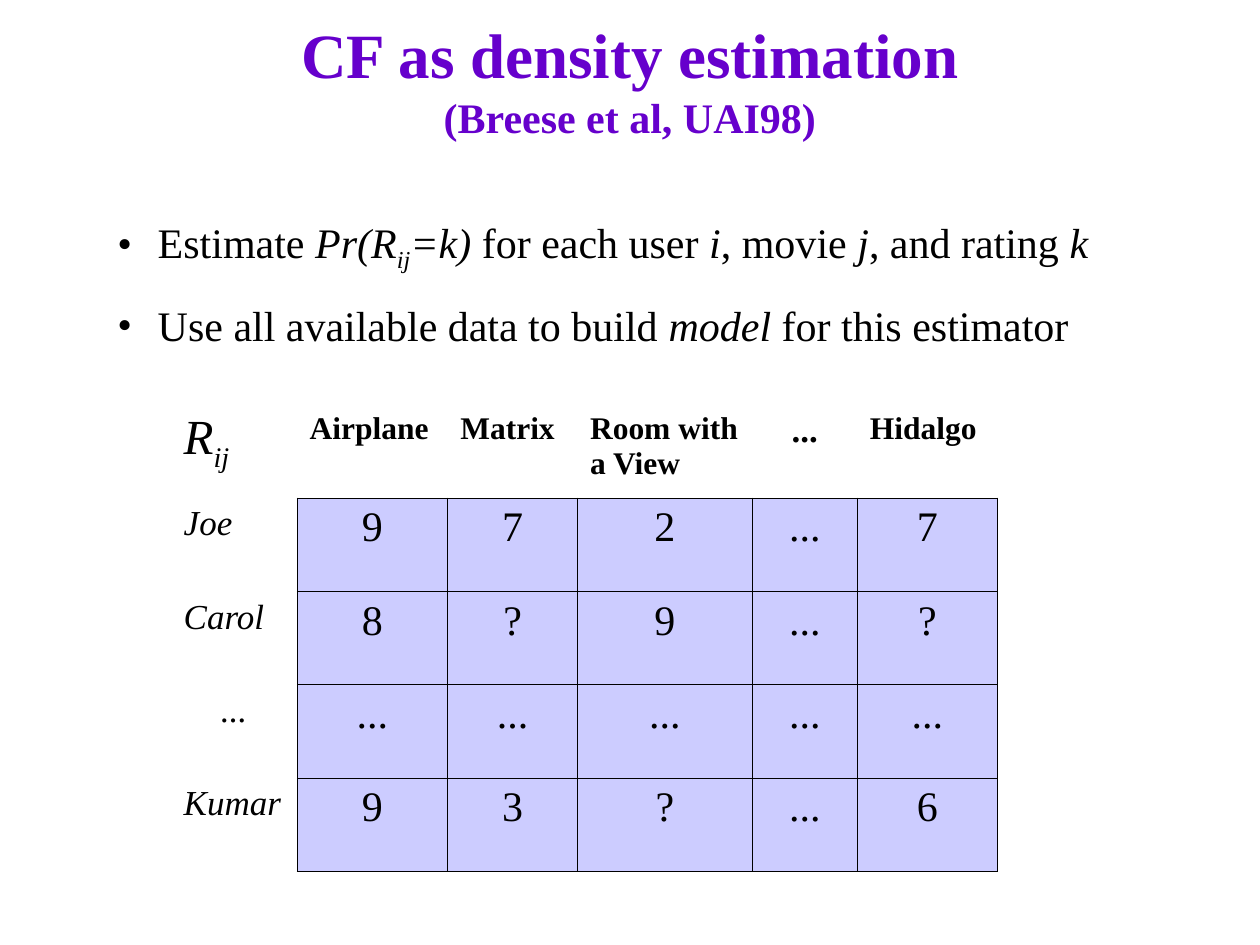
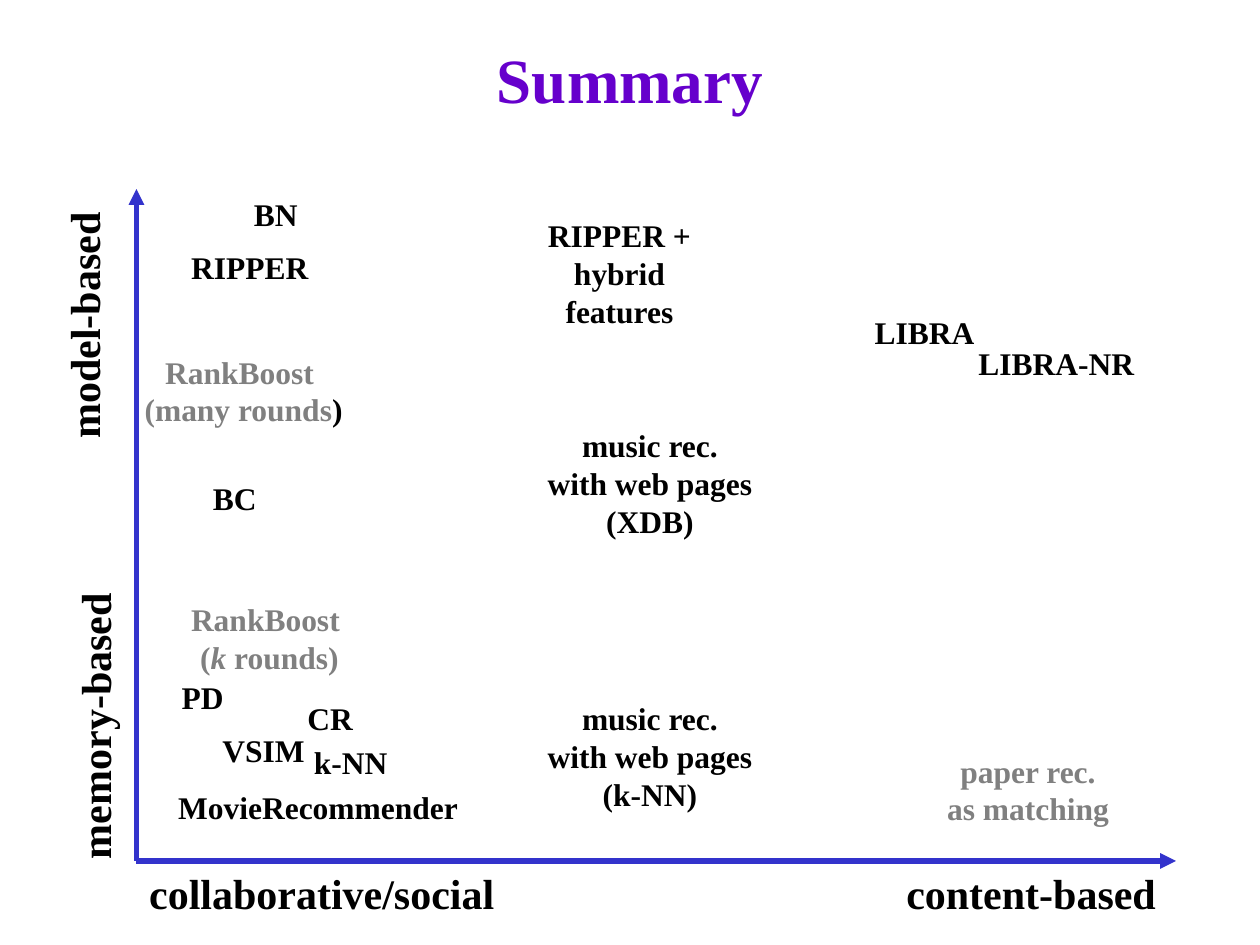
from collections import namedtuple
from dataclasses import dataclass

from lxml.etree import SubElement as sub
from pptx import Presentation
from pptx.dml.color import RGBColor as Rgb
from pptx.enum.shapes import MSO_CONNECTOR as Conn
from pptx.enum.text import MSO_ANCHOR as Anchor, MSO_AUTO_SIZE as Fit, PP_ALIGN as Al
from pptx.oxml.ns import qn
from pptx.util import Inches, Pt


@dataclass(frozen=True)
class Theme:
    font: str = "Times New Roman"
    title: str = "6600CC"
    ink: str = "000000"
    grey: str = "808080"
    axis: str = "3333CC"
    cell: str = "CCCCFF"
    head: int = 36
    big: int = 28
    body: int = 24
    label: int = 20
    small: int = 18
    thin: float = 0.45


T = Theme()
# The slide is a grid of 120 columns by 90 rows
COLS, ROWS = 120, 90
WIDE, HIGH = Inches(10), Inches(7.5)
SLACK = 0.3  # columns added on each side of a label so that it stays on its lines
Box = namedtuple("Box", "x y w h")


def col(n):
    return round(WIDE * n / COLS)


def row(n):
    return round(HIGH * n / ROWS)


def place(box):
    return col(box.x), row(box.y), col(box.w), row(box.h)


def inside(box, x, y, w, h):
    """Box at an offset from the corner of another box."""
    return Box(box.x + x, box.y + y, w, h)


# Text: a line is a list of (words, marks); marks are b, i and s (subscript)
def add_run(para, words, marks, size, color):
    run = para.add_run()
    run.text = words
    font = run.font
    font.name, font.size = T.font, Pt(size)
    font.bold, font.italic = "b" in marks, "i" in marks
    font.color.rgb = Rgb.from_string(color)
    if "s" in marks:
        run._r.get_or_add_rPr().set("baseline", "-25000")


def add_text(slide, box, lines, size, color=T.ink, align=Al.CENTER, wrap=False, turn=0):
    if not wrap:
        box = inside(box, -SLACK, 0, box.w + 2 * SLACK, box.h)
    shape = slide.shapes.add_textbox(*place(box))
    shape.rotation = turn
    frame = shape.text_frame
    frame.word_wrap, frame.auto_size = wrap, Fit.SHAPE_TO_FIT_TEXT
    for n, line in enumerate(lines):
        para = frame.add_paragraph() if n else frame.paragraphs[0]
        para.alignment = align
        for words, marks, *tint in line:
            add_run(para, words, marks, size, tint[0] if tint else color)
    return frame


# Title shared by both slides
def add_title(slide, main, note=None):
    frame = add_text(slide, Box(9, 0, 102, 15), [[(main, "b")]], T.head, T.title, wrap=True)
    frame.auto_size, frame.vertical_anchor = Fit.NONE, Anchor.MIDDLE
    if note:
        para = frame.paragraphs[0]
        para.add_line_break()
        add_run(para, note, "b", T.body, T.title)


# Bullet list
POINTS = [
    [("Estimate ", ""), ("Pr(R", "i"), ("ij", "is"), ("=k) ", "i"),
     ("for each user ", ""), ("i", "i"), (", movie ", ""), ("j", "i"),
     (", and rating ", ""), ("k", "i")],
    [("Use all available data to build ", ""), ("model", "i"),
     (" for this estimator", "")],
]


def add_points(slide, box):
    frame = add_text(slide, box, POINTS, T.body, align=Al.LEFT, wrap=True)
    for n, para in enumerate(frame.paragraphs):
        props = para._p.get_or_add_pPr()
        props.set("marL", str(Inches(0.32)))
        props.set("indent", str(-Inches(0.32)))
        sub(props, qn("a:buFont"), typeface=T.font)
        sub(props, qn("a:buChar"), char="•")
        if n:
            para.space_before = Pt(15)


# Ratings table
MOVIES = ["Airplane", "Matrix", "Room with a View", "...", "Hidalgo"]
RATES = {
    "Joe": ["9", "7", "2", "...", "7"],
    "Carol": ["8", "?", "9", "...", "?"],
    "...": ["..."] * 5,
    "Kumar": ["9", "3", "?", "...", "6"],
}
SPANS = [12, 14.35, 12.35, 16.65, 10, 13.35]


def add_borders(cell, sides):
    """Draw the named sides (of L, R, T, B) and hide the others."""
    props = cell._tc.get_or_add_tcPr()
    for side in "LRTB":
        line = sub(props, qn(f"a:ln{side}"), w=str(Pt(T.thin)))
        if side in sides:
            fill = sub(line, qn("a:solidFill"))
            sub(fill, qn("a:srgbClr"), val=T.ink)
        else:
            sub(line, qn("a:noFill"))


def fill_cell(cell, runs, size, mid, sides, rated=False):
    add_borders(cell, sides)
    if rated:
        cell.fill.solid()
        cell.fill.fore_color.rgb = Rgb.from_string(T.cell)
    else:
        cell.fill.background()
    para = cell.text_frame.paragraphs[0]
    para.alignment = Al.CENTER if mid else Al.LEFT
    for words, marks in runs:
        add_run(para, words, marks, size, T.ink)


def add_rates(slide, box):
    rows, cols = len(RATES) + 1, len(SPANS)
    table = slide.shapes.add_table(rows, cols, *place(box)).table
    table.first_row = table.horz_banding = False
    for column, span in zip(table.columns, SPANS):
        column.width = col(span * box.w / sum(SPANS))
    for line in table.rows:
        line.height = row(box.h / rows)
    # Heading row
    fill_cell(table.cell(0, 0), [("R", "i"), ("ij", "is")], T.big, False, "")
    for c, name in enumerate(MOVIES, 1):
        gap = name == "..."
        size = T.label if gap else T.small
        fill_cell(table.cell(0, c), [(name, "b")], size, gap, "B")
    # User rows
    for r, (user, marks) in enumerate(RATES.items(), 1):
        fill_cell(table.cell(r, 0), [(user, "i")], T.label, user == "...", "R")
        for c, mark in enumerate(marks, 1):
            fill_cell(table.cell(r, c), [(mark, "")], T.body, True, "LRTB", rated=True)


# Map of methods: offset in the plot, width, lines, colour
MUSIC = ["music rec.", "with web pages"]
SPOTS = [
    (10, 0, 6.5, ["BN"], T.ink),
    (4, 5, 13.6, ["RIPPER"], T.ink),
    (-0.4, 15, 21.2, ["RankBoost ", [("(many rounds", "b"), (")", "b", T.ink)]], T.grey),
    (6.1, 27, 6.5, ["BC"], T.ink),
    (4, 38.6, 17.3, ["RankBoost ", [("(", "b"), ("k", "bi"), (" rounds)", "b")]], T.grey),
    (3.1, 46, 6.4, ["PD"], T.ink),
    (15.1, 48, 6.7, ["CR"], T.ink),
    (7, 51, 10.2, ["VSIM"], T.ink),
    (15.7, 52.2, 9.4, ["k-NN"], T.ink),
    (2.8, 56.5, 29, ["MovieRecommender"], T.ink),
    (38, 2, 16, ["RIPPER +", "hybrid", "features"], T.ink),
    (38, 22, 21.8, MUSIC + ["(XDB)"], T.ink),
    (38, 48, 21.8, MUSIC + ["(k-NN)"], T.ink),
    (69.1, 11.2, 11.9, ["LIBRA"], T.ink),
    (79, 14.2, 17.2, ["LIBRA-NR"], T.ink),
    (76, 53, 17.8, ["paper rec.", "as matching"], T.grey),
]


def add_axis(slide, x, y, to_x, to_y):
    line = slide.shapes.add_connector(Conn.STRAIGHT, col(x), row(y), col(to_x), row(to_y))
    line.line.color.rgb = Rgb.from_string(T.axis)
    line.line.width = Pt(3)
    props = line._element.spPr
    sub(props.find(qn("a:ln")), qn("a:tailEnd"), type="triangle")
    sub(props, qn("a:effectLst"))


def add_plot(slide, box):
    base = box.y + box.h
    add_axis(slide, box.x, base, box.x + box.w, base)
    add_axis(slide, box.x, base, box.x, box.y)
    # Axis names
    names = [
        (0, box.h, 35.3, "collaborative/social", Al.CENTER, False, 0),
        (72.1, box.h, 26.2, "content-based", Al.CENTER, False, 0),
        (-18.5, 47.5, 29, "memory-based", Al.LEFT, True, 270),
        (-17, 10, 23.9, "model-based", Al.CENTER, False, 270),
    ]
    for x, y, w, name, align, wrap, turn in names:
        add_text(slide, inside(box, x, y, w, 6), [[(name, "b")]], T.body,
                 align=align, wrap=wrap, turn=turn)
    # Methods
    for x, y, w, lines, color in SPOTS:
        runs = [[(ln, "b")] if isinstance(ln, str) else ln for ln in lines]
        spot = inside(box, x, y, w, 1.2 + 3.6 * len(lines))
        add_text(slide, spot, runs, T.small, color)


# Slides
def add_density(slide):
    add_title(slide, "CF as density estimation", "(Breese et al, UAI98)")
    add_rates(slide, Box(16.3, 38.55, 78.7, 44.45))
    add_points(slide, Box(10, 20, 104, 14))


def add_summary(slide):
    add_title(slide, "Summary")
    add_plot(slide, Box(13, 18, 99, 64))


def main():
    deck = Presentation()
    deck.slide_width, deck.slide_height = WIDE, HIGH
    for build in (add_density, add_summary):
        build(deck.slides.add_slide(deck.slide_layouts[6]))
    deck.save("out.pptx")


if __name__ == "__main__":
    main()
